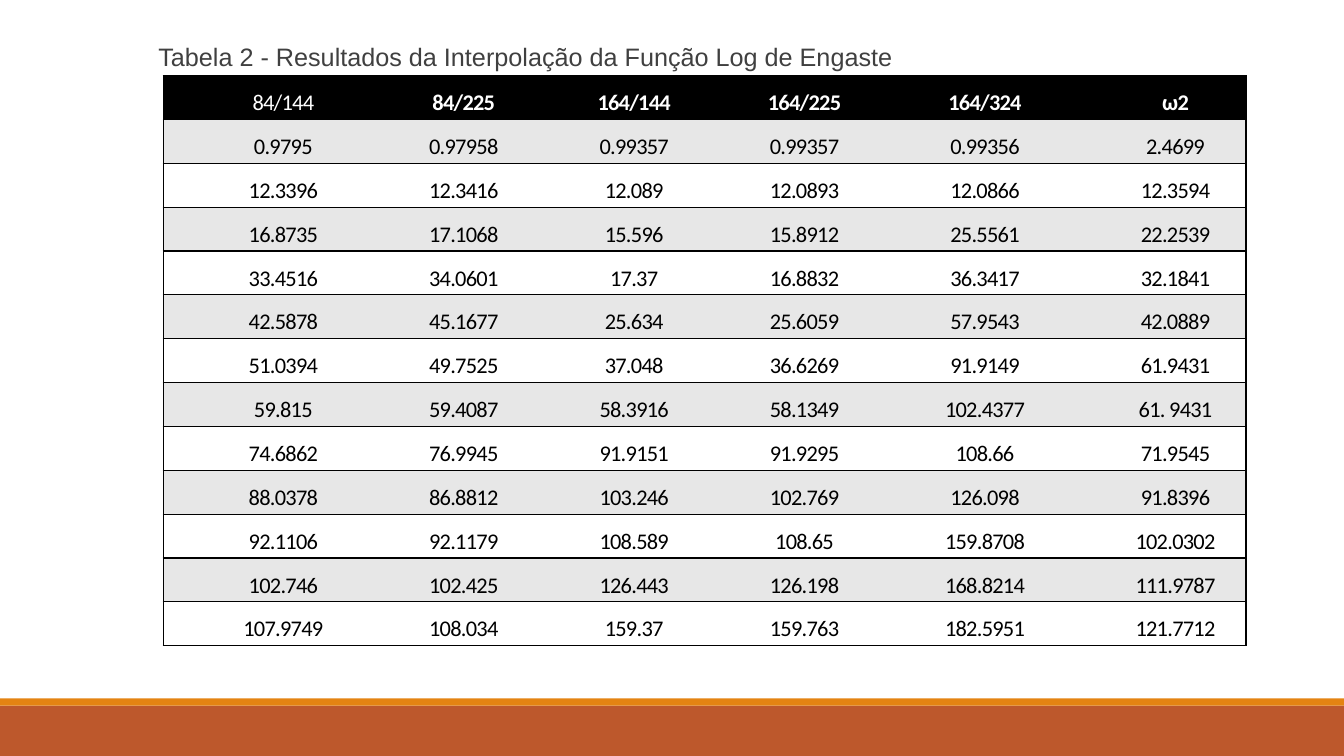
import lxml.etree
import pptx
import pptx.dml.color
import pptx.enum.shapes
import pptx.enum.text
import pptx.oxml.ns
import pptx.util

Inches = pptx.util.Inches
Pt = pptx.util.Pt
qn = pptx.oxml.ns.qn
ALIGN = pptx.enum.text.PP_ALIGN

PLAIN_STYLE = "{2D5ABB26-0587-4C30-8999-92F81FD0307C}"
WIDTHS = [1.89, 1.69, 1.69, 1.69, 1.89, 1.89]
HEAD = ["84/144", "84/225", "164/144", "164/225", "164/324", "ω2"]
ROWS = [
    ["0.9795", "0.97958", "0.99357", "0.99357", "0.99356", "2.4699"],
    ["12.3396", "12.3416", "12.089", "12.0893", "12.0866", "12.3594"],
    ["16.8735", "17.1068", "15.596", "15.8912", "25.5561", "22.2539"],
    ["33.4516", "34.0601", "17.37", "16.8832", "36.3417", "32.1841"],
    ["42.5878", "45.1677", "25.634", "25.6059", "57.9543", "42.0889"],
    ["51.0394", "49.7525", "37.048", "36.6269", "91.9149", "61.9431"],
    ["59.815", "59.4087", "58.3916", "58.1349", "102.4377", "61. 9431"],
    ["74.6862", "76.9945", "91.9151", "91.9295", "108.66", "71.9545"],
    ["88.0378", "86.8812", "103.246", "102.769", "126.098", "91.8396"],
    ["92.1106", "92.1179", "108.589", "108.65", "159.8708", "102.0302"],
    ["102.746", "102.425", "126.443", "126.198", "168.8214", "111.9787"],
    ["107.9749", "108.034", "159.37", "159.763", "182.5951", "121.7712"],
]


def rgb(code):
    return pptx.dml.color.RGBColor.from_string(code)


def paint(fill, code):
    fill.solid()
    fill.fore_color.rgb = rgb(code)


def style(run, font, size, code, bold=False):
    run.font.name = font
    run.font.size = Pt(size)
    run.font.bold = bold
    run.font.color.rgb = rgb(code)


def add_bar(slide, left, top, width, height, code):
    bar = slide.shapes.add_shape(
        pptx.enum.shapes.MSO_SHAPE.RECTANGLE,
        Inches(left), Inches(top), Inches(width), Inches(height))
    bar.shadow.inherit = False
    paint(bar.fill, code)
    bar.line.fill.background()


def add_foot(slide, left, top, width, height):
    """Draw a thin orange strip above a rust band."""
    strip = 0.07
    add_bar(slide, left, top + strip, width, height - strip, "BD582C")
    add_bar(slide, left, top, width, strip, "E48312")


def set_title(slide, left, top, width, height):
    title = slide.shapes.title
    title.left, title.top = Inches(left), Inches(top)
    title.width, title.height = Inches(width), Inches(height)
    frame = title.text_frame
    frame.text = "Tabela 2 - Resultados da Interpolação da Função Log de Engaste"
    frame.word_wrap = True
    frame.auto_size = pptx.enum.text.MSO_AUTO_SIZE.NONE
    frame.vertical_anchor = pptx.enum.text.MSO_ANCHOR.TOP
    frame.margin_left = Inches(0.2)
    para = frame.paragraphs[0]
    para.alignment = ALIGN.JUSTIFY
    para.line_spacing = 0.9
    para.space_before = Pt(0)
    style(para.runs[0], "Arial", 18, "404040")


def add_edge(cell, side):
    """Give one side (L, R, T or B) of a cell a black line."""
    props = cell._tc.get_or_add_tcPr()
    line = lxml.etree.SubElement(props, qn("a:ln" + side), w=str(Pt(1)))
    fill = lxml.etree.SubElement(line, qn("a:solidFill"))
    lxml.etree.SubElement(fill, qn("a:srgbClr"), val="000000")


def fill_cell(cell, text, row, col):
    head = row == 0
    sides = "L" * (col == 0) + "R" * (col == len(HEAD) - 1) + "TB"
    for side in sides:
        add_edge(cell, side)
    paint(cell.fill, "000000" if head else "E7E7E7" if row % 2 else "FFFFFF")
    cell.margin_left = cell.margin_right = Inches(0.05)
    cell.margin_top = cell.margin_bottom = 0
    para = cell.text_frame.paragraphs[0]
    para.text = text
    para.alignment = ALIGN.CENTER
    para.line_spacing = 1.5
    para.space_after = Pt(8)
    para._p.get_or_add_pPr().set("indent", str(Inches(0.49)))
    run = para.runs[0]
    style(run, "Calibri", 16, "FFFFFF" if head else "000000", head and col > 0)
    run._r.get_or_add_rPr().set("spc", "-50")


def add_grid(slide, left, top, width, height):
    data = [HEAD] + ROWS
    table = slide.shapes.add_table(
        len(data), len(HEAD),
        Inches(left), Inches(top), Inches(width), Inches(height)).table
    table.horz_banding = False
    table._tbl.tblPr.find(qn("a:tableStyleId")).text = PLAIN_STYLE
    for column, share in zip(table.columns, WIDTHS):
        column.width = Inches(width * share / sum(WIDTHS))
    for row, values in enumerate(data):
        for col, text in enumerate(values):
            fill_cell(table.cell(row, col), text, row, col)


def main():
    deck = pptx.Presentation()
    deck.slide_width, deck.slide_height = Inches(13.33), Inches(7.5)
    slide = deck.slides.add_slide(deck.slide_layouts[5])
    paint(slide.background.fill, "FFFFFF")
    add_foot(slide, 0, 6.93, 13.33, 0.57)
    set_title(slide, 1.37, 0.39, 11, 0.36)
    add_grid(slide, 1.62, 0.75, 10.74, 5.66)
    deck.save("out.pptx")


if __name__ == "__main__":
    main()
